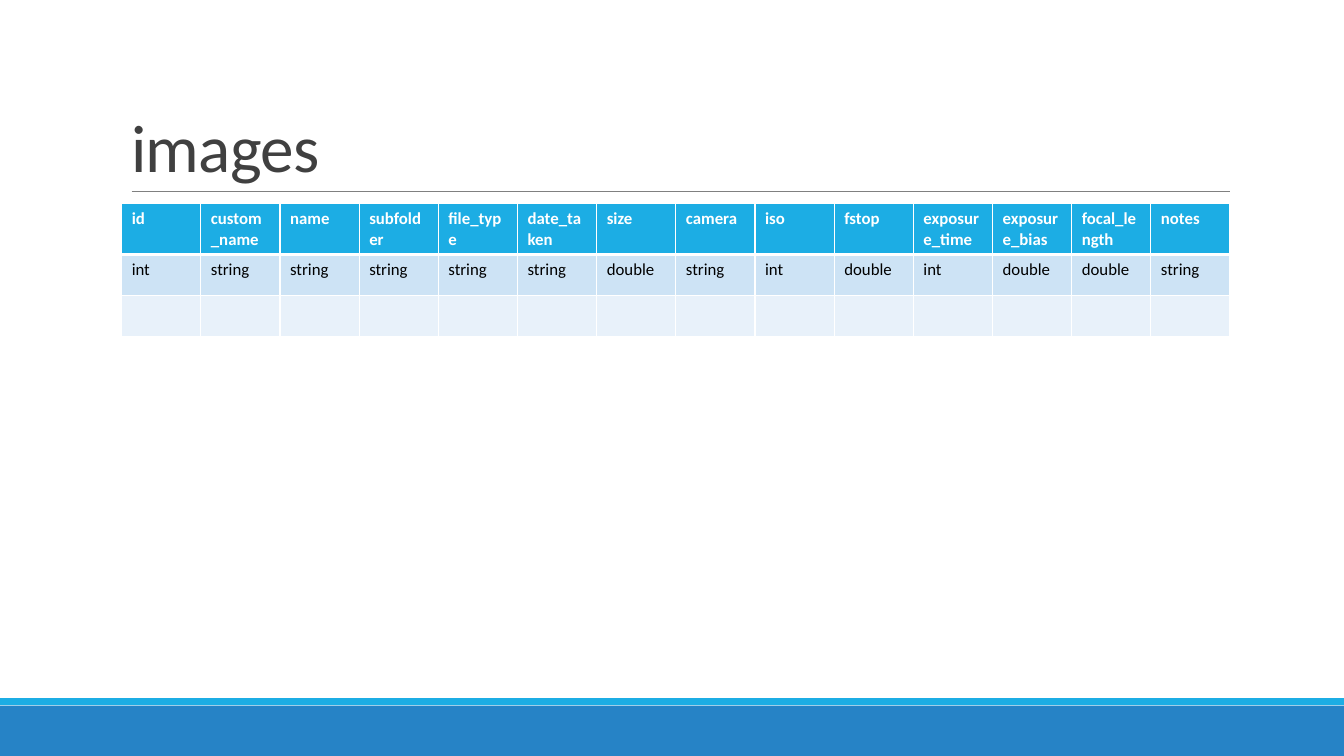
import pptx
import pptx.dml.color
import pptx.enum.shapes
import pptx.enum.text
import pptx.oxml.ns
import pptx.util
from lxml import etree

Pt = pptx.util.Pt
qn = pptx.oxml.ns.qn

COLORS = {
    "band": "2683C6",
    "accent": "1CADE4",
    "rule": "808080",
    "title": "404040",
    "white": "FFFFFF",
    "black": "000000",
    "row_dark": "CDE3F5",
    "row_light": "E8F1FA",
}


def rgb(name):
    return pptx.dml.color.RGBColor.from_string(COLORS[name])


class SlideBuilder:
    font_name = "Calibri"

    def __init__(self, deck):
        self.page = deck.slides.add_slide(deck.slide_layouts[5])

    def style(self, para, size, color, bold=False):
        para.font.name = self.font_name
        para.font.size = Pt(size)
        para.font.bold = bold
        para.font.color.rgb = rgb(color)

    def title(self, text, left, top, width, height):
        box = self.page.shapes.title
        box.left, box.top, box.width, box.height = map(Pt, (left, top, width, height))
        frame = box.text_frame
        frame.text = text
        frame.word_wrap = True
        frame.auto_size = pptx.enum.text.MSO_AUTO_SIZE.NONE
        frame.vertical_anchor = pptx.enum.text.MSO_ANCHOR.BOTTOM
        para = frame.paragraphs[0]
        para.alignment = pptx.enum.text.PP_ALIGN.LEFT
        para.line_spacing = 0.85
        self.style(para, 48, "title")
        para.runs[0].font._element.set("spc", "-50")

    def rectangle(self, left, top, width, height, color):
        shape = self.page.shapes.add_shape(
            pptx.enum.shapes.MSO_SHAPE.RECTANGLE, Pt(left), Pt(top), Pt(width), Pt(height))
        shape.shadow.inherit = False
        shape.fill.solid()
        shape.fill.fore_color.rgb = rgb(color)
        shape.line.fill.background()

    def rule(self, left, right, top, color, weight):
        line = self.page.shapes.add_connector(
            pptx.enum.shapes.MSO_CONNECTOR.STRAIGHT, Pt(left), Pt(top), Pt(right), Pt(top))
        line.line.color.rgb = rgb(color)
        line.line.width = Pt(weight)
        etree.SubElement(line._element.spPr, qn("a:effectLst"))

    def borders(self, cell, weights):
        properties = cell._tc.get_or_add_tcPr()
        for side, weight in zip("LRTB", weights):
            edge = etree.SubElement(properties, qn(f"a:ln{side}"), w=str(Pt(weight)))
            fill = etree.SubElement(edge, qn("a:solidFill"))
            etree.SubElement(fill, qn("a:srgbClr"), val=COLORS["white"])

    def table(self, rows, fills, left, top, width, row_height):
        columns = len(rows[0])
        table = self.page.shapes.add_table(
            len(rows), columns, Pt(left), Pt(top), Pt(width), Pt(row_height * len(rows))).table
        for column in table.columns:
            column.width = Pt(width / columns)
        for index, (texts, fill) in enumerate(zip(rows, fills)):
            table.rows[index].height = Pt(row_height)
            header = index == 0
            weights = (1, 1, 3 if index == 1 else 1, 3 if header else 1)
            for cell, text in zip(table.rows[index].cells, texts):
                self.borders(cell, weights)
                cell.fill.solid()
                cell.fill.fore_color.rgb = rgb(fill)
                cell.text = text
                self.style(cell.text_frame.paragraphs[0], 12,
                           "white" if header else "black", header)


FIELDS = {
    "id": "int", "custom_name": "string", "name": "string", "subfolder": "string",
    "file_type": "string", "date_taken": "string", "size": "double", "camera": "string",
    "iso": "int", "fstop": "double", "exposure_time": "int", "exposure_bias": "double",
    "focal_length": "double", "notes": "string",
}

deck = pptx.Presentation()
deck.slide_width, deck.slide_height = Pt(960), Pt(540)
builder = SlideBuilder(deck)
builder.rectangle(0, 504, 960, 36, "band")
builder.rectangle(0, 498.7, 960, 5.05, "accent")
builder.rule(94, 878.8, 136.8, "rule", 0.5)
builder.title("images", 86.4, 22.6, 792, 114.2)
builder.table([list(FIELDS), list(FIELDS.values()), [""] * len(FIELDS)],
              ["accent", "row_dark", "row_light"], 86.9, 145.4, 792, 29.2)
deck.save("out.pptx")
